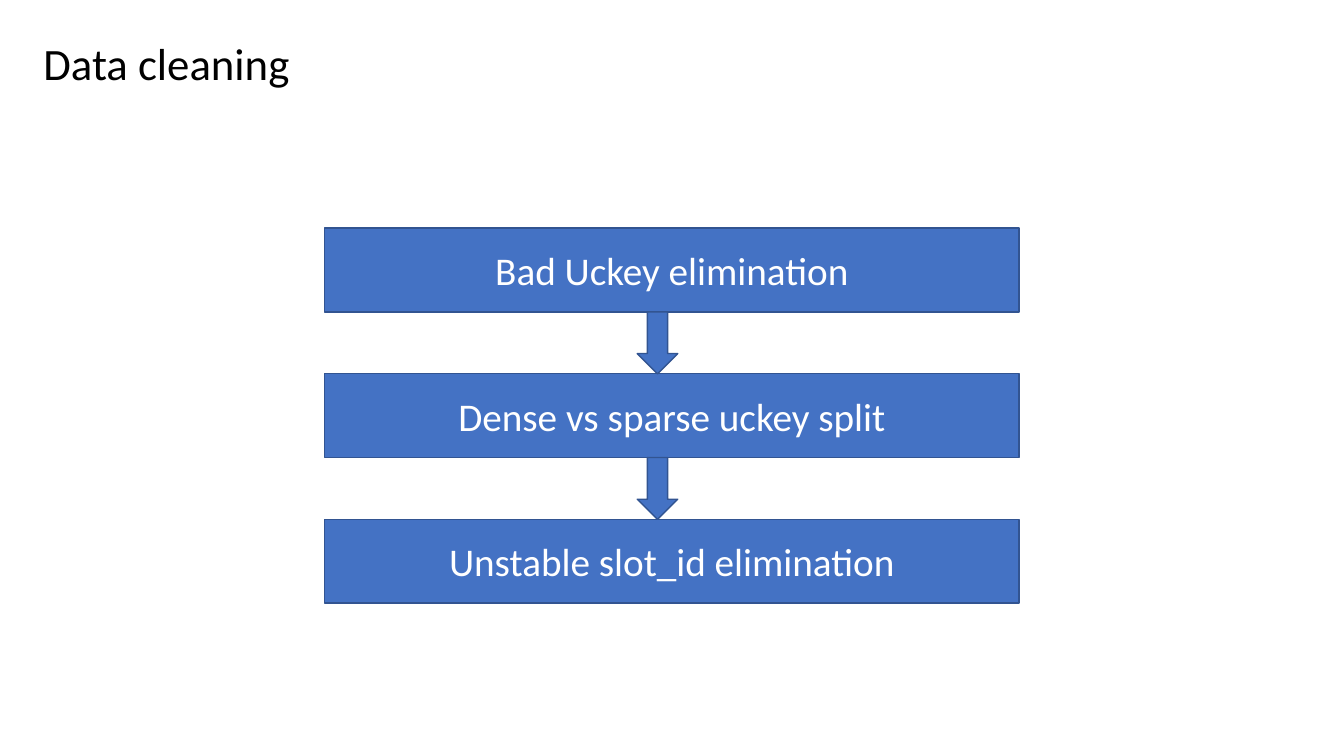
import pptx
import pptx.util
import pptx.dml.color
import pptx.enum.shapes
import pptx.enum.text

Cm, Pt = pptx.util.Cm, pptx.util.Pt
SHAPE = pptx.enum.shapes.MSO_SHAPE
ALIGN = pptx.enum.text.PP_ALIGN
ANCHOR = pptx.enum.text.MSO_ANCHOR
COLORS = {"title": "000000", "fill": "4472C4", "line": "325491", "label": "FFFFFF"}


class Deck:
    font = "Calibri"

    def __init__(self, s):
        self.s = s

    def color(self, name):
        return pptx.dml.color.RGBColor.from_string(COLORS[name])

    def text(self, sp, text, size, color, align, anchor):
        tf = sp.text_frame
        tf.word_wrap = True
        tf.auto_size = pptx.enum.text.MSO_AUTO_SIZE.NONE
        tf.vertical_anchor = anchor
        p = tf.paragraphs[0]
        p.alignment = align
        r = p.add_run()
        r.text = text
        r.font.name = self.font
        r.font.size = Pt(size)
        r.font.color.rgb = self.color(color)

    def title(self, text, x, y, w, h):
        sp = self.s.shapes.title
        sp.left, sp.top, sp.width, sp.height = Cm(x), Cm(y), Cm(w), Cm(h)
        self.text(sp, text, 32, "title", ALIGN.LEFT, ANCHOR.TOP)

    def shape(self, kind, x, y, w, h):
        sp = self.s.shapes.add_shape(kind, Cm(x), Cm(y), Cm(w), Cm(h))
        sp.shadow.inherit = False
        sp.fill.solid()
        sp.fill.fore_color.rgb = self.color("fill")
        sp.line.color.rgb = self.color("line")
        sp.line.width = Pt(1)
        return sp

    def box(self, text, x, y, w, h):
        sp = self.shape(SHAPE.RECTANGLE, x, y, w, h)
        self.text(sp, text, 28, "label", ALIGN.CENTER, ANCHOR.MIDDLE)

    def arrow(self, x, y, w, h):
        self.shape(SHAPE.DOWN_ARROW, x, y, w, h)


prs = pptx.Presentation()
prs.slide_width, prs.slide_height = Cm(33.87), Cm(19.05)
deck = Deck(prs.slides.add_slide(prs.slide_layouts[5]))

# Title
deck.title("Data cleaning", 0.84, 0.76, 16.08, 1.62)

# Cleaning steps, stacked at an equal pitch
steps = ["Bad Uckey elimination", "Dense vs sparse uckey split",
         "Unstable slot_id elimination"]
top, height, pitch = 5.75, 2.11, 3.67
for i, step in enumerate(steps):
    deck.box(step, 8.18, top + i * pitch, 17.5, height)

# Arrows filling the gaps between steps
for i in range(len(steps) - 1):
    deck.arrow(16.06, top + i * pitch + height, 1.02, pitch - height)

prs.save("out.pptx")
